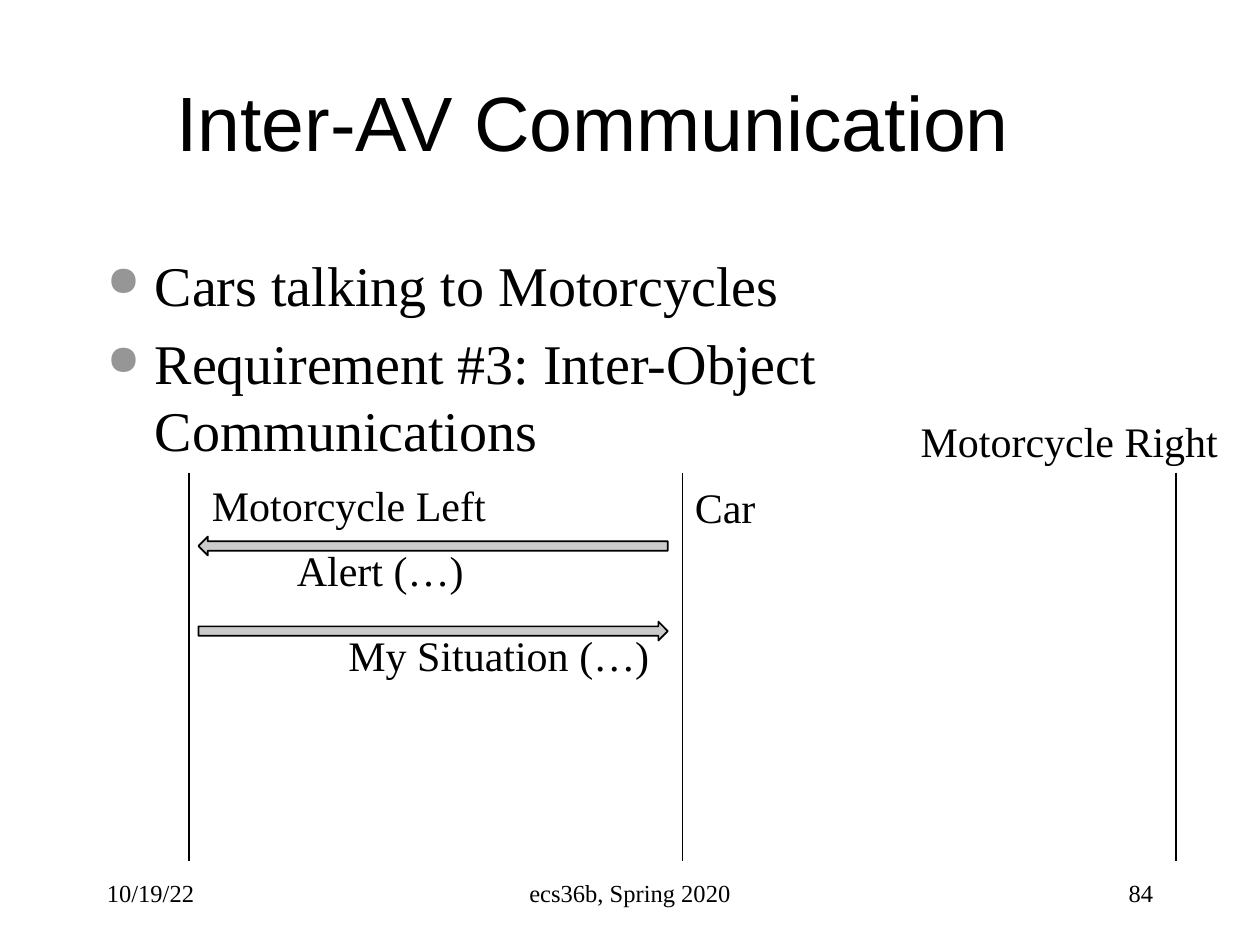
from lxml import etree
from pptx import Presentation
from pptx.dml.color import RGBColor
from pptx.enum.shapes import MSO_CONNECTOR, MSO_SHAPE
from pptx.enum.text import MSO_ANCHOR, MSO_AUTO_SIZE, PP_ALIGN
from pptx.oxml import parse_xml
from pptx.oxml.ns import nsdecls, qn
from pptx.util import Inches, Pt

LEFT, MID, RIGHT = PP_ALIGN.LEFT, PP_ALIGN.CENTER, PP_ALIGN.RIGHT
TOP, CENTER = MSO_ANCHOR.TOP, MSO_ANCHOR.MIDDLE
FIT = MSO_AUTO_SIZE.SHAPE_TO_FIT_TEXT
ARROW, LINE = MSO_SHAPE.LEFT_ARROW, MSO_CONNECTOR.STRAIGHT
SERIF = "Times New Roman"
BLACK = "000000"

deck = Presentation()
deck.slide_width, deck.slide_height = Inches(10), Inches(7.5)
unit = deck.slide_width / 120
slide = deck.slides.add_slide(deck.slide_layouts[6])
shapes = slide.shapes


def color(target, code):
    target.rgb = RGBColor.from_string(code)


def write(words, col, row, wide, high, size, align=LEFT, anchor=TOP, font=SERIF):
    box = shapes.add_textbox(*(int(n * unit) for n in (col, row, wide, high)))
    frame = box.text_frame
    frame.text = words
    frame.word_wrap = True
    frame.vertical_anchor = anchor
    for para in frame.paragraphs:
        para.alignment = align
        for run in para.runs:
            run.font.name = font
            run.font.size = Pt(size)
            color(run.font.color, BLACK)
    return frame


write("Inter-AV Communication", 15, 4, 83, 15, 44, MID, CENTER, "Arial")

body = write(
    "Cars talking to Motorcycles\nRequirement #3: Inter-Object Communications",
    9, 23.25, 102, 54, 32,
)
for para in body.paragraphs:
    para.space_before = Pt(6.4)
    props = para._p.get_or_add_pPr()
    props.set("marL", str(Inches(0.38)))
    props.set("indent", str(-Inches(0.38)))
    for tag in (
        '<a:buClr %s><a:srgbClr val="969696"/></a:buClr>',
        '<a:buSzPct %s val="75000"/>',
        '<a:buChar %s char="●"/>',
    ):
        props.append(parse_xml(tag % nsdecls("a")))

for words, col, wide, align in (
    ("10/19/22", 9, 25, LEFT),
    ("ecs36b, Spring 2020", 41, 38, MID),
    ("84", 86, 25, RIGHT),
):
    write(words, col, 82, wide, 6, 14, align, CENTER)

for col in (18, 65, 112):
    x = int(col * unit)
    lane = shapes.add_connector(LINE, x, int(45 * unit), x, int(82 * unit))
    lane.line.width = Pt(1)
    color(lane.line.color, BLACK)
    etree.SubElement(lane._element.spPr, qn("a:effectLst"))

for row, turn in ((51.1, 0), (59.2, 180)):
    arrow = shapes.add_shape(
        ARROW, *(int(n * unit) for n in (18.9, row, 44.7, 1.8))
    )
    arrow.rotation = turn
    arrow.shadow.inherit = False
    arrow.fill.solid()
    color(arrow.fill.fore_color, "CBCBCB")
    arrow.line.width = Pt(1)
    color(arrow.line.color, BLACK)

for words, col, row, wide in (
    ("Motorcycle Left", 19, 45.1, 28.8),
    ("Motorcycle Right", 86.5, 39, 31),
    ("Car", 65, 45.25, 8.3),
    ("Alert (…)", 27.1, 51.25, 18.5),
    ("My Situation (…)", 32, 59.4, 31.3),
):
    label = write(words, col, row, wide, 6, 24)
    label.word_wrap = False
    label.auto_size = FIT

deck.save("out.pptx")
